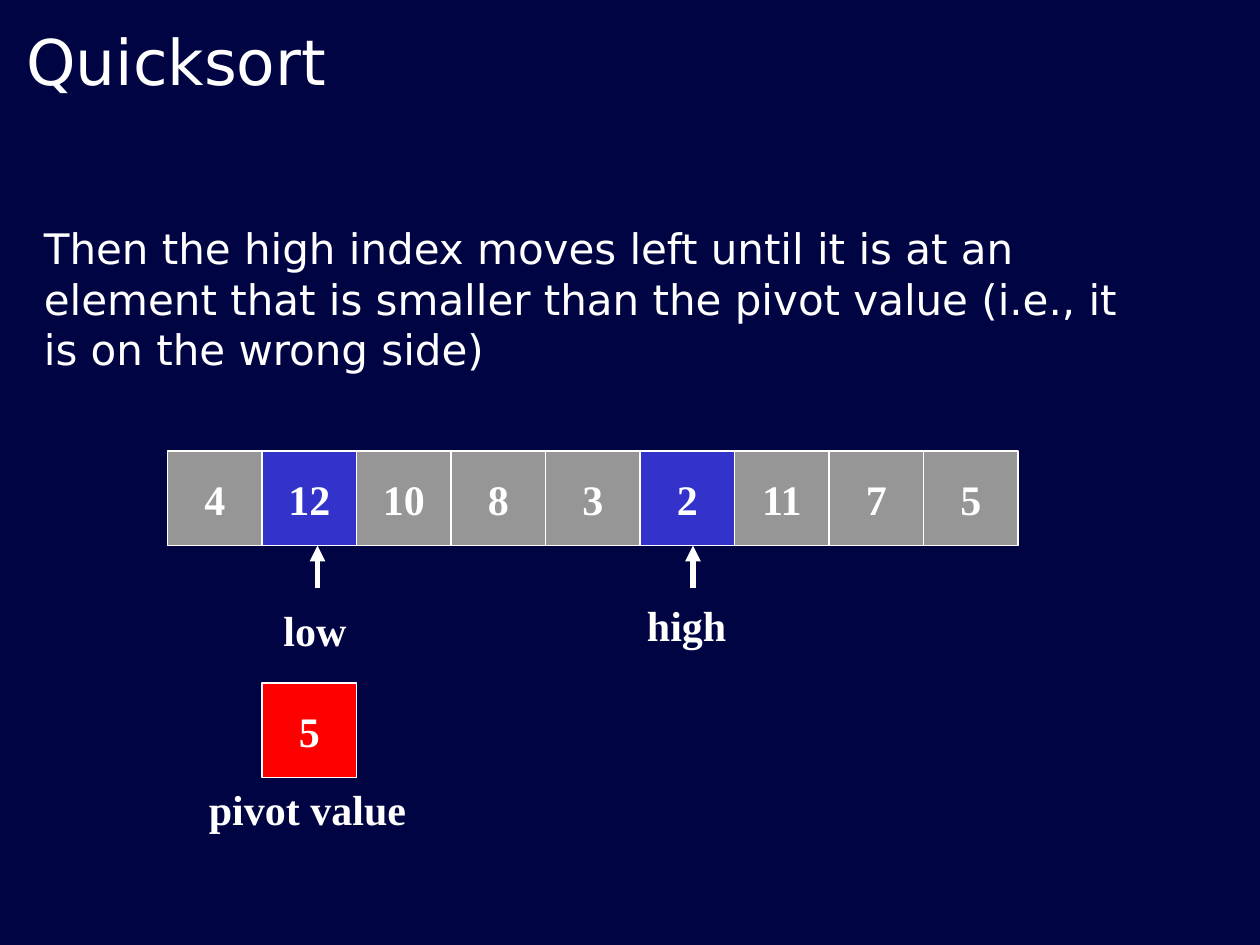
from pptx import Presentation
from pptx import util as u
from pptx.dml import color
from pptx.enum import shapes, text
from pptx.oxml import ns
from lxml import etree


def rgb(code):
    return color.RGBColor.from_string(code)


def write(shape, lines, size, face, bold, align, anchor, wrap):
    frame = shape.text_frame
    frame.word_wrap = wrap
    frame.vertical_anchor = anchor
    for i, line in enumerate(lines):
        para = frame.add_paragraph() if i else frame.paragraphs[0]
        para.alignment = align
        run = para.add_run()
        run.text = line
        run.font.size = u.Pt(size)
        run.font.name = face
        run.font.bold = bold
        run.font.color.rgb = rgb("FFFFFF")


deck = Presentation()
deck.slide_width, deck.slide_height = u.Inches(10), u.Inches(7.5)
slide = deck.slides.add_slide(deck.slide_layouts[6])
slide.background.fill.solid()
slide.background.fill.fore_color.rgb = rgb("010442")

left, mid = text.PP_ALIGN.LEFT, text.PP_ALIGN.CENTER
top, center, base = (text.MSO_ANCHOR.TOP, text.MSO_ANCHOR.MIDDLE,
                     text.MSO_ANCHOR.BOTTOM)
sans, serif = "DejaVu Sans", "Times New Roman"

# Title and explanation
title = slide.shapes.add_textbox(
    u.Inches(0.11), u.Inches(0.08), u.Inches(9.06), u.Inches(0.75))
write(title, ["Quicksort"], 36, sans, False, left, base, True)

body = slide.shapes.add_textbox(
    u.Inches(0.25), u.Inches(1.72), u.Inches(9.75), u.Inches(1.4))
steps = [
    "Then the high index moves left until it is at an",
    "element that is smaller than the pivot value (i.e., it",
    "is on the wrong side)",
]
write(body, steps, 24, sans, False, left, top, True)

# Array cells, then the pivot cell under the second one
side, start, row = 0.75, 1.33, 3.58
values = [4, 12, 10, 8, 3, 2, 11, 7, 5]
marked = (1, 5)
cells = [(start + i * side, row, val, "3333CC" if i in marked else "969696")
         for i, val in enumerate(values)]
cells.append((start + side, 5.42, 5, "FF0000"))
for x, y, val, fill in cells:
    cell = slide.shapes.add_shape(
        shapes.MSO_SHAPE.RECTANGLE,
        u.Inches(x), u.Inches(y), u.Inches(side), u.Inches(side))
    cell.shadow.inherit = False
    cell.fill.solid()
    cell.fill.fore_color.rgb = rgb(fill)
    cell.line.color.rgb = rgb("FFFFFF")
    cell.line.width = u.Pt(0.75)
    write(cell, [str(val)], 24, serif, True, mid, center, False)

# Index arrows
for x in (2.52, 5.5):
    arrow = slide.shapes.add_connector(
        shapes.MSO_CONNECTOR.STRAIGHT,
        u.Inches(x), u.Inches(4.67), u.Inches(x), u.Inches(row + side))
    arrow.line.color.rgb = rgb("FFFFFF")
    arrow.line.width = u.Pt(3)
    props = arrow._element.spPr
    etree.SubElement(props.find(ns.qn("a:ln")), ns.qn("a:tailEnd"),
                     type="triangle")
    etree.SubElement(props, ns.qn("a:effectLst"))

# Labels, wide enough for one line each
for name, x, y, wide in [("low", 2.15, 4.75, 0.7), ("high", 5, 4.71, 0.9),
                         ("pivot value", 1.52, 6.17, 1.84)]:
    label = slide.shapes.add_textbox(
        u.Inches(x), u.Inches(y), u.Inches(wide), u.Inches(0.5))
    write(label, [name], 24, serif, True, mid, center, False)

deck.save("out.pptx")
